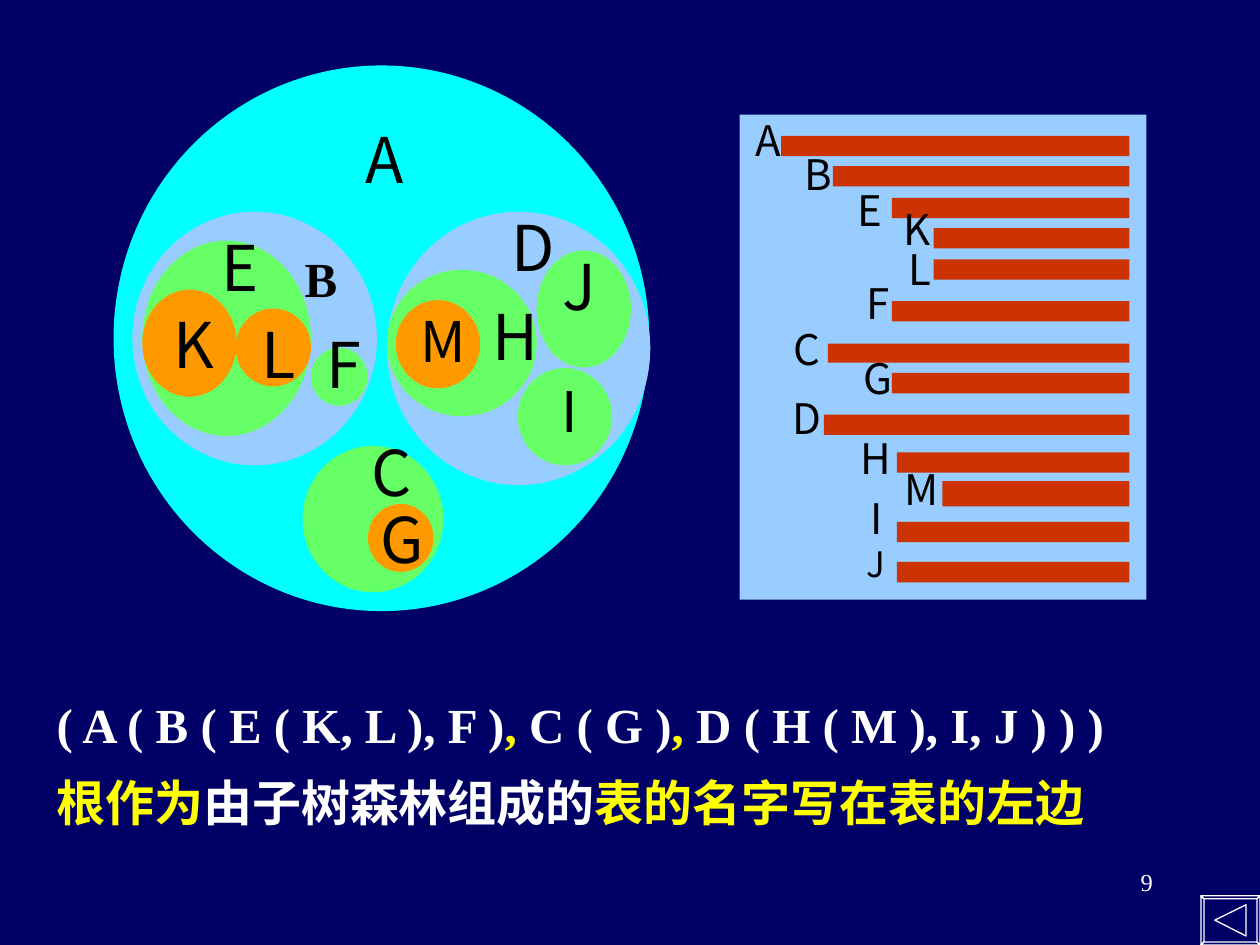
from lxml.etree import SubElement
from pptx import Presentation
from pptx.dml.color import RGBColor
from pptx.enum.shapes import MSO_SHAPE as Shape
from pptx.enum.text import MSO_AUTO_SIZE as AutoSize, PP_ALIGN as Align
from pptx.oxml.ns import qn
from pptx.util import Cm, Pt

NAVY = RGBColor(0x00, 0x00, 0x66)
CYAN = RGBColor(0x00, 0xFF, 0xFF)
SKY = RGBColor(0x99, 0xCC, 0xFF)
GREEN = RGBColor(0x66, 0xFF, 0x66)
ORANGE = RGBColor(0xFF, 0x99, 0x00)
RED = RGBColor(0xCC, 0x33, 0x00)
YELLOW = RGBColor(0xFF, 0xFF, 0x00)
WHITE = RGBColor(0xFF, 0xFF, 0xFF)
BLACK = RGBColor(0x00, 0x00, 0x00)
SANS = "Noto Sans CJK SC"
SERIF = "Times New Roman"

# Sets of the Venn diagram: left, top, width, height, colour
CIRCLES = [
    (2.29, 1.32, 10.8, 11, CYAN),       # A
    (2.67, 4.27, 4.93, 5.11, SKY),      # B
    (6.1, 8.99, 2.84, 2.95, GREEN),     # C
    (7.42, 10.16, 1.32, 1.37, ORANGE),  # G
    (2.87, 4.85, 3.4, 3.94, GREEN),     # E
    (2.87, 5.84, 1.9, 2.16, ORANGE),    # K
    (4.75, 6.22, 1.52, 1.57, ORANGE),   # L
    (6.27, 7.01, 1.14, 1.17, GREEN),    # F
    (7.8, 4.27, 5.31, 5.51, SKY),       # D
    (7.8, 5.44, 3.02, 2.95, GREEN),     # H
    (7.98, 6.05, 1.7, 1.78, ORANGE),    # M
    (10.82, 5.05, 1.9, 2.36, GREEN),    # J
    (10.44, 7.42, 1.9, 1.96, GREEN),    # I
]
# Set names: text, left, top, width, size
CIRCLE_NAMES = [
    ("A", 7.04, 2.49, 1.45, 36), ("E", 4.19, 4.67, 1.32, 36),
    ("D", 10.06, 4.27, 1.32, 36), ("H", 9.68, 6.05, 1.32, 36),
    ("J", 11.02, 5.05, 1.32, 36), ("I", 10.82, 7.62, 1.32, 32),
    ("K", 3.25, 6.22, 1.32, 36), ("L", 4.95, 6.43, 1.32, 36),
    ("M", 8.18, 6.22, 1.52, 32), ("F", 6.27, 6.63, 1.32, 36),
    ("G", 7.42, 10.16, 1.32, 36), ("C", 7.24, 8.79, 1.32, 36),
]
# Indented list: name, name left and top, bar left, top and height, size
BARS = [
    ("A", 14.91, 2.31, 15.75, 2.74, 0.41, 24),
    ("B", 15.93, 3.0, 16.79, 3.35, 0.41, 24),
    ("E", 16.97, 3.71, 17.98, 3.99, 0.41, 24),
    ("K", 17.91, 4.11, 18.82, 4.6, 0.41, 24),
    ("L", 17.98, 4.9, 18.82, 5.23, 0.41, 24),
    ("F", 17.12, 5.59, 17.98, 6.07, 0.41, 24),
    ("C", 15.7, 6.53, 16.69, 6.93, 0.38, 24),
    ("G", 17.12, 7.11, 17.98, 7.52, 0.41, 24),
    ("D", 15.7, 7.92, 16.61, 8.36, 0.41, 24),
    ("H", 17.09, 8.71, 18.08, 9.12, 0.41, 24),
    ("M", 17.98, 9.35, 19, 9.7, 0.51, 24),
    ("I", 17.09, 9.93, 18.08, 10.52, 0.41, 24),
    ("J", 17.09, 10.92, 18.08, 11.33, 0.41, 20),
]
BAR_RIGHT = 22.77


def write_run(paragraph, text, size=28, font=SANS, color=BLACK, bold=False):
    run = paragraph.add_run()
    run.text = text
    run.font.size = Pt(size)
    run.font.bold = bold
    run.font.color.rgb = color
    run.font.name = font
    SubElement(run.font._element, qn("a:ea")).set("typeface", SANS)


class SlideBuilder:
    def __init__(self, slide):
        self.slide = slide
        self.shapes = slide.shapes

    def start_group(self):
        self.shapes = self.slide.shapes.add_group_shape().shapes

    def end_group(self):
        self.shapes = self.slide.shapes

    def block(self, kind, left, top, width, height, color):
        shape = self.shapes.add_shape(kind, Cm(left), Cm(top), Cm(width), Cm(height))
        shape.shadow.inherit = False
        shape.fill.solid()
        shape.fill.fore_color.rgb = color
        shape.line.fill.background()

    def text_box(self, left, top, width, height, wrap=True, grow=False):
        box = self.shapes.add_textbox(Cm(left), Cm(top), Cm(width), Cm(height))
        frame = box.text_frame
        frame.word_wrap = wrap
        if grow:
            frame.auto_size = AutoSize.SHAPE_TO_FIT_TEXT
        return frame

    def label(self, text, left, top, width, height, align=Align.CENTER,
              wrap=True, spacing=0.89, **style):
        frame = self.text_box(left, top, width, height, wrap, grow=True)
        paragraph = frame.paragraphs[0]
        paragraph.alignment = align
        paragraph.line_spacing = spacing
        write_run(paragraph, text, **style)

    def outline(self, contours, color):
        points = [[(Cm(x), Cm(y)) for x, y in contour] for contour in contours]
        builder = self.shapes.build_freeform(*points[0][0])
        builder.add_line_segments(points[0][1:], close=True)
        for first, *others in points[1:]:
            builder.move_to(*first)
            builder.add_line_segments(others, close=True)
        shape = builder.convert_to_shape()
        shape.shadow.inherit = False
        shape.fill.background()
        shape.line.color.rgb = color
        shape.line.width = Pt(0.75)


def rectangle(left, top, right, bottom):
    return [(left, top), (right, top), (right, bottom), (left, bottom)]


def main():
    presentation = Presentation()
    presentation.slide_width, presentation.slide_height = Cm(25.4), Cm(19.05)
    slide = presentation.slides.add_slide(presentation.slide_layouts[6])
    slide.background.fill.solid()
    slide.background.fill.fore_color.rgb = NAVY
    builder = SlideBuilder(slide)

    # Page number
    builder.label("9", 18.21, 17.35, 5.28, 1.27, align=Align.RIGHT,
                  spacing=1.0, size=14, font=SERIF, color=WHITE)

    # Back button: bevelled frame and arrow
    outer = rectangle(24.21, 18.06, 25.4, 19.05)
    inner = rectangle(24.27, 18.12, 25.34, 18.99)
    bevels = [[outer[i], outer[(i + 1) % 4], inner[(i + 1) % 4], inner[i]]
              for i in range(4)]
    arrow = [(24.49, 18.55), (25.12, 18.24), (25.12, 18.87)]
    builder.outline(bevels + [arrow], WHITE)

    # Nested-list notation and its explanation
    frame = builder.text_box(0.89, 13.87, 22.58, 3.83)
    notation = [("( A ( B ( E ( K, L ), F )", WHITE), (",", YELLOW),
                (" C ( G )", WHITE), (",", YELLOW),
                (" D ( H ( M ), I, J ) ) )", WHITE)]
    explanation = [("根作为", YELLOW), ("由子树森林组成的", WHITE),
                   ("表的名字写在表的左边", YELLOW)]
    for text, color in notation:
        write_run(frame.paragraphs[0], text, font=SERIF, color=color, bold=True)
    paragraph = frame.add_paragraph()
    paragraph.space_before = Pt(15)
    paragraph.line_spacing = 0.89
    for text, color in explanation:
        write_run(paragraph, text, font=SERIF, color=color, bold=True)

    # Venn diagram
    builder.start_group()
    for circle in CIRCLES:
        builder.block(Shape.OVAL, *circle)
    for name, left, top, width, size in CIRCLE_NAMES:
        builder.label(name, left, top, width, 1.78, size=size)
    builder.label("B", 5.89, 4.88, 1.17, 1.45, align=Align.LEFT, wrap=False,
                  spacing=1.0, font=SERIF, bold=True)

    # Indented bar list
    builder.start_group()
    builder.block(Shape.RECTANGLE, 14.91, 2.31, 8.2, 9.78, SKY)
    for name, left, top, bar_left, bar_top, height, size in BARS:
        builder.block(Shape.RECTANGLE, bar_left, bar_top,
                      BAR_RIGHT - bar_left, height, RED)
        builder.label(name, left, top, 1.15, 1.27, size=size)
    builder.end_group()

    presentation.save("out.pptx")


if __name__ == "__main__":
    main()
